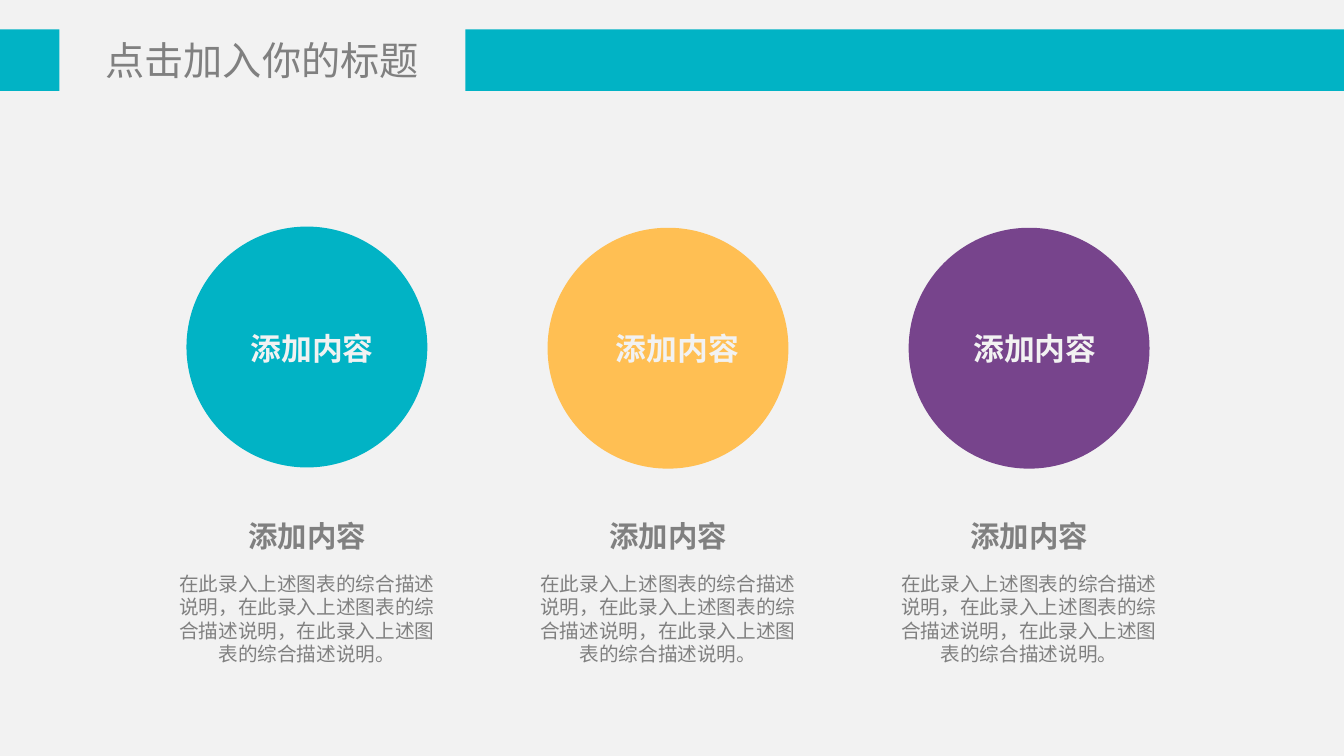
import pptx
import pptx.dml.color
import pptx.enum.shapes
import pptx.enum.text
import pptx.oxml.ns
import pptx.util
from lxml import etree

Cm = pptx.util.Cm
ALIGN = pptx.enum.text.PP_ALIGN
ANCHOR = pptx.enum.text.MSO_ANCHOR
FONT = "Noto Sans CJK SC"
TEAL, GREY, PALE = "01B3C5", "808080", "F2F2F2"


def paint(fill, color):
    fill.solid()
    fill.fore_color.rgb = pptx.dml.color.RGBColor.from_string(color)


def add_text(text, place, size, color, bold=False, align=ALIGN.CENTER,
             anchor=ANCHOR.MIDDLE, insets=(0.25, 0.13), wrap=True):
    box = slide.shapes.add_textbox(*[Cm(length) for length in place])
    frame = box.text_frame
    frame.word_wrap = wrap
    frame.vertical_anchor = anchor
    frame.margin_left = frame.margin_right = Cm(insets[0])
    frame.margin_top = frame.margin_bottom = Cm(insets[1])
    frame.text = text
    para = frame.paragraphs[0]
    para.alignment = align
    para.line_spacing = 1.0
    span = para.runs[0]
    span.font.size = pptx.util.Pt(size)
    span.font.bold = bold
    span.font.name = FONT
    paint(span.font.fill, color)
    east_asian = etree.SubElement(span.font._element, pptx.oxml.ns.qn("a:ea"))
    east_asian.set("typeface", FONT)


deck = pptx.Presentation()
deck.slide_width = Cm(33.87)
deck.slide_height = Cm(19.05)
slide = deck.slides.add_slide(deck.slide_layouts[6])
paint(slide.background.fill, PALE)

top, bottom = 74, 229
builder = slide.shapes.build_freeform(1173, top, scale=Cm(0.01))
builder.add_line_segments([(3387, top), (3387, bottom), (1173, bottom)])
builder.move_to(0, top)
builder.add_line_segments([(150, top), (150, bottom), (0, bottom)])
band = builder.convert_to_shape()
band.shadow.inherit = False
paint(band.fill, TEAL)
band.line.fill.background()

add_text("点击加入你的标题", (1.83, 0.91, 9.55, 1.19), 28, GREY, insets=(0, 0))

pitch = 9.1
description = "在此录入上述图表的综合描述说明，" * 2 + "在此录入上述图表的综合描述说明。"
columns = [(TEAL, 5.71, 6.07), ("FFBF53", 5.74, 15.27), ("77448C", 5.74, 24.28)]
for index, (color, circle_top, label_left) in enumerate(columns):
    shift = index * pitch
    circle = slide.shapes.add_shape(
        pptx.enum.shapes.MSO_SHAPE.OVAL,
        Cm(4.7 + shift), Cm(circle_top), Cm(6.07), Cm(6.07))
    circle.shadow.inherit = False
    paint(circle.fill, color)
    circle.line.fill.background()
    add_text("添加内容", (label_left, 8.18, 3.82, 1.19), 22, PALE, True, ALIGN.LEFT)
    add_text("添加内容", (5.99 + shift, 12.93, 3.5, 1.14), 21, GREY, True, wrap=False)
    add_text(description, (4.04 + shift, 14.17, 7.39, 3.05), 14, GREY,
             anchor=ANCHOR.TOP, insets=(0.33, 0.23))

deck.save("out.pptx")
